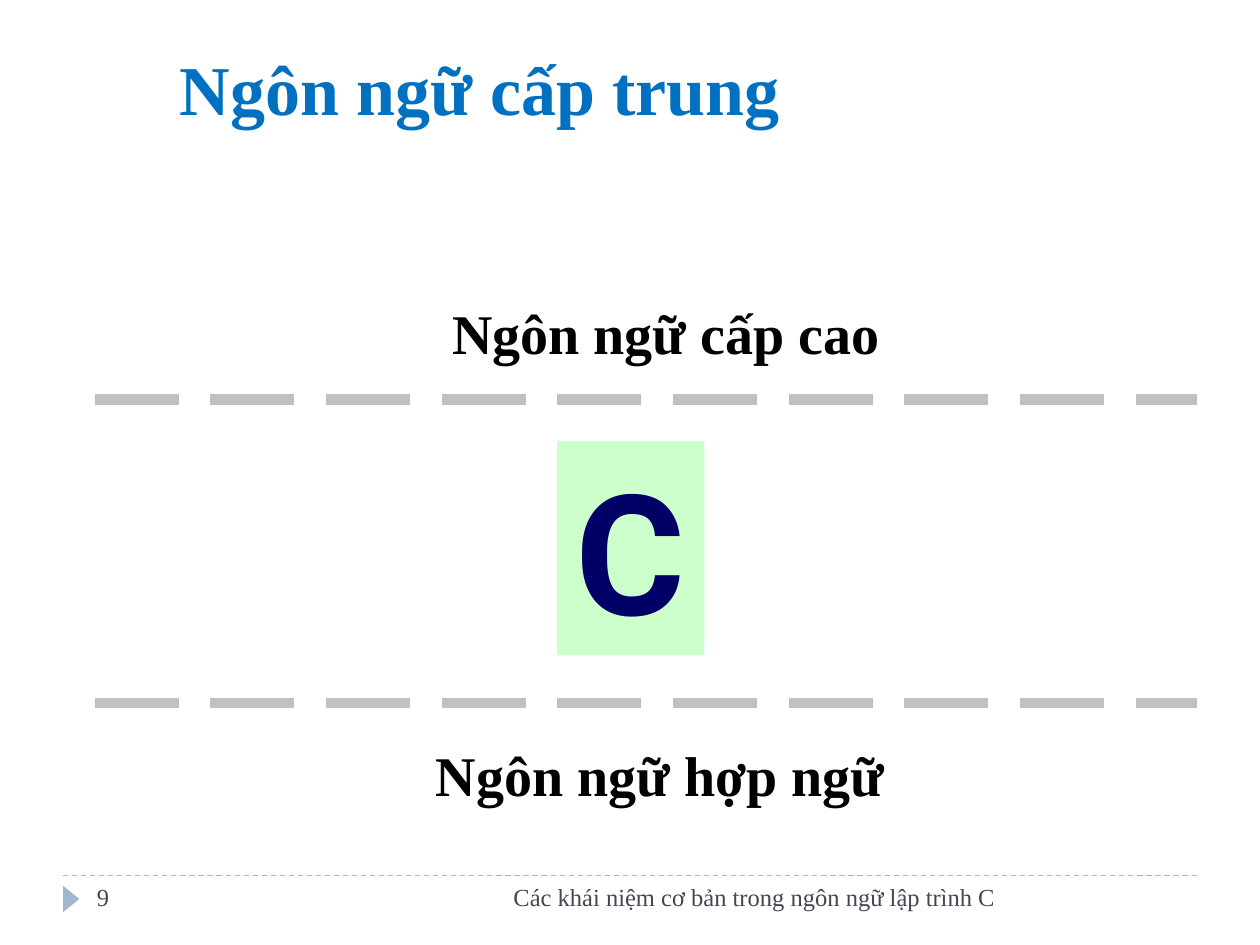
from lxml.etree import SubElement
from pptx import Presentation
from pptx.dml.color import RGBColor
from pptx.enum.dml import MSO_LINE
from pptx.enum.shapes import MSO_CONNECTOR, MSO_SHAPE
from pptx.enum.text import MSO_ANCHOR, MSO_AUTO_SIZE, PP_ALIGN
from pptx.oxml.ns import qn
from pptx.util import Inches, Pt

SERIF = "Times New Roman"
LEFT, CENTER, RIGHT = PP_ALIGN.LEFT, PP_ALIGN.CENTER, PP_ALIGN.RIGHT

# Content: text, box (left, top, width, height), size, colour, bold, alignment
TITLE = ("Ngôn ngữ cấp trung", (1.33, 0.25, 8.42, 0.83), 40, "0070C0", True, LEFT)
# The level boxes leave a little spare width so each heading stays on one line
LEVELS = [
    ("Ngôn ngữ cấp cao", (3.46, 2.32, 3.65, 0.64), 32, "000000", True, CENTER),
    ("Ngôn ngữ hợp ngữ", (3.34, 5.83, 3.8, 0.64), 32, "000000", True, CENTER),
]
FOOTERS = [
    ("Các khái niệm cơ bản trong ngôn ngữ lập trình C",
     (3.17, 6.95, 4.83, 0.4), 14, "464653", False, RIGHT),
    ("9", (0.67, 6.95, 2.17, 0.4), 14, "464653", False, LEFT),
]
LANGUAGE = ("C", (4.42, 3.5, 1.17, 1.7), 96, "000066", True, CENTER)

# Lines: left end, height on the slide, colour, width, dash
RIGHT_EDGE = 9.5
FOOTER_RULE = (0.5, 6.95, "9FB8CD", 0.75, MSO_LINE.DASH)
LEVEL_RULES = [(0.75, y, "C0C0C0", 6, MSO_LINE.LONG_DASH) for y in (3.17, 5.58)]


def color(value):
    return RGBColor.from_string(value)


def add_line(slide, left, y, line_color, width, dash):
    line = slide.shapes.add_connector(
        MSO_CONNECTOR.STRAIGHT, Inches(left), Inches(y), Inches(RIGHT_EDGE), Inches(y))
    line.line.color.rgb = color(line_color)
    line.line.width = Pt(width)
    line.line.dash_style = dash
    SubElement(line._element.spPr, qn("a:effectLst"))


def add_filled_shape(slide, kind, box, fill):
    shape = slide.shapes.add_shape(kind, *map(Inches, box))
    shape.shadow.inherit = False
    shape.fill.solid()
    shape.fill.fore_color.rgb = color(fill)
    shape.line.fill.background()
    return shape


def write(shape, text, size, text_color, bold, alignment, font=SERIF):
    frame = shape.text_frame
    frame.word_wrap = True
    frame.vertical_anchor = MSO_ANCHOR.TOP
    paragraph = frame.paragraphs[0]
    paragraph.text = text
    paragraph.alignment = alignment
    paragraph.font.name = font
    paragraph.font.size = Pt(size)
    paragraph.font.bold = bold
    paragraph.font.color.rgb = color(text_color)
    return frame


def add_text(slide, text, box, *style):
    return write(slide.shapes.add_textbox(*map(Inches, box)), text, *style)


def main():
    presentation = Presentation()
    presentation.slide_width, presentation.slide_height = Inches(10), Inches(7.5)
    slide = presentation.slides.add_slide(presentation.slide_layouts[6])

    # Footer
    add_line(slide, *FOOTER_RULE)
    marker = add_filled_shape(
        slide, MSO_SHAPE.ISOSCELES_TRIANGLE, (0.46, 7.07, 0.21, 0.13), "9FB8CD")
    marker.rotation = 90
    for footer in FOOTERS:
        add_text(slide, *footer)

    # Title
    add_text(slide, *TITLE).vertical_anchor = MSO_ANCHOR.BOTTOM

    # Language levels above and below
    for level in LEVELS:
        frame = add_text(slide, *level)
        frame.word_wrap = False
        frame.auto_size = MSO_AUTO_SIZE.SHAPE_TO_FIT_TEXT

    # Middle level between the two rules
    text, box, *style = LANGUAGE
    square = add_filled_shape(slide, MSO_SHAPE.RECTANGLE, box, "CCFFCC")
    frame = write(square, text, *style, font="Roboto")
    frame.auto_size = MSO_AUTO_SIZE.SHAPE_TO_FIT_TEXT
    for rule in LEVEL_RULES:
        add_line(slide, *rule)

    presentation.save("out.pptx")


if __name__ == "__main__":
    main()
